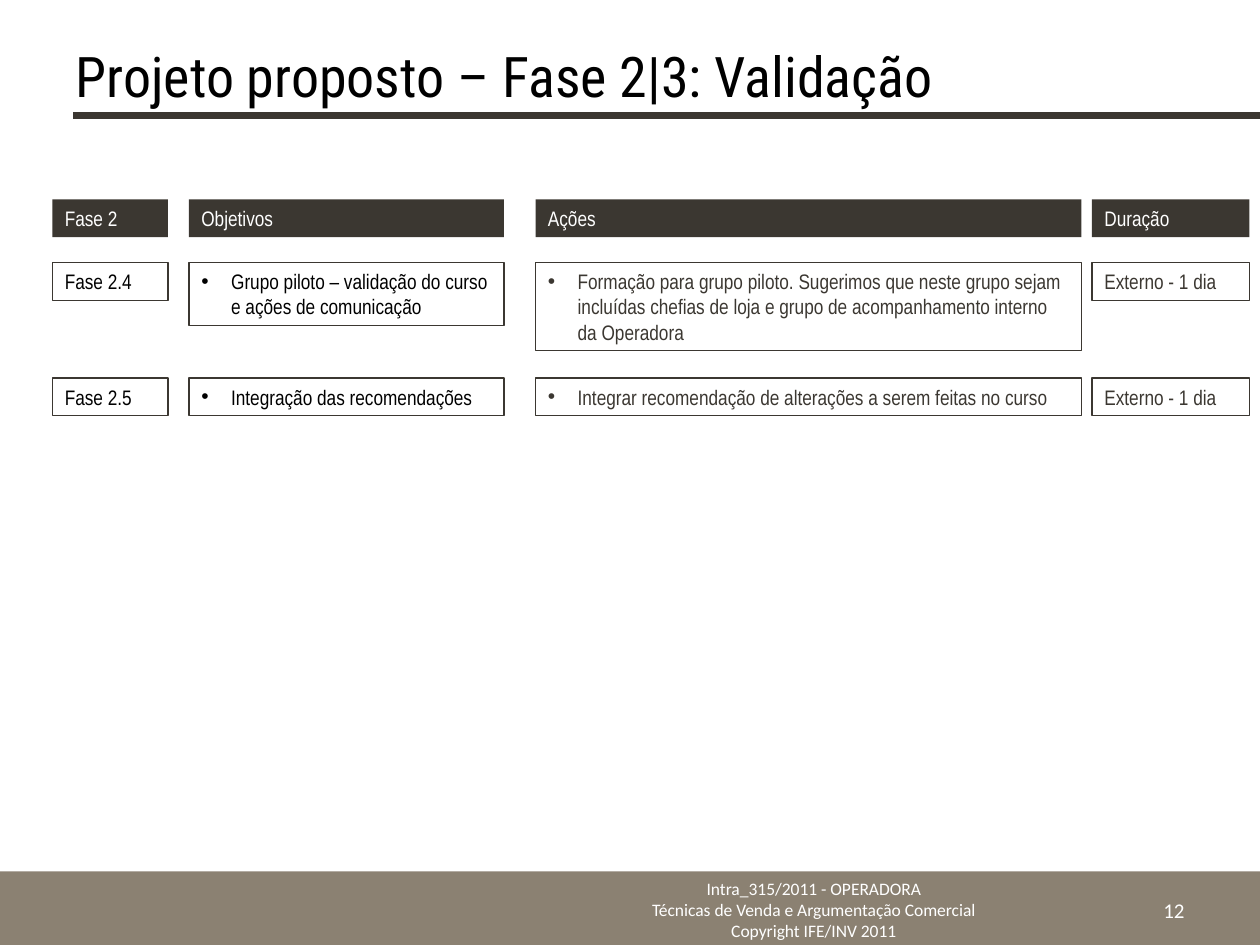
from dataclasses import dataclass

from lxml import etree
from pptx import Presentation
from pptx.dml.color import RGBColor
from pptx.enum.shapes import MSO_CONNECTOR, MSO_SHAPE
from pptx.enum.text import MSO_ANCHOR, MSO_AUTO_SIZE, PP_ALIGN
from pptx.oxml.ns import qn
from pptx.util import Pt

RECTANGLE = MSO_SHAPE.RECTANGLE
STRAIGHT = MSO_CONNECTOR.STRAIGHT
TOP, MIDDLE = MSO_ANCHOR.TOP, MSO_ANCHOR.MIDDLE
LEFT, CENTER, RIGHT = PP_ALIGN.LEFT, PP_ALIGN.CENTER, PP_ALIGN.RIGHT
NO_AUTOFIT = MSO_AUTO_SIZE.NONE
TITLE_ONLY = 5


@dataclass(frozen=True)
class Theme:
    dark: RGBColor = RGBColor(0x3B, 0x37, 0x31)
    band: RGBColor = RGBColor(0x8B, 0x81, 0x72)
    black: RGBColor = RGBColor(0, 0, 0)
    white: RGBColor = RGBColor(255, 255, 255)
    title_font: str = "Roboto Condensed"
    body_font: str = "Arial Narrow"
    footer_font: str = "Calibri"
    title_size: float = 32
    body_size: float = 12
    footer_size: float = 10


@dataclass(frozen=True)
class Column:
    heading: str
    left: float
    width: float
    color: RGBColor
    bulleted: bool = False


@dataclass(frozen=True)
class Cell:
    text: str
    lines: int = 1


@dataclass(frozen=True)
class Row:
    top: float
    cells: tuple[Cell, ...]


THEME = Theme()
LINE_HEIGHT = 14.4
VERTICAL_INSETS = 7.2
HEADING_TOP = 114
BULLET_INDENT = 17

COLUMNS = (
    Column("Fase 2", 30, 66, THEME.black),
    Column("Objetivos", 108, 180, THEME.black, True),
    Column("Ações", 306, 312, THEME.dark, True),
    Column("Duração", 624, 90, THEME.dark),
)
ROWS = (
    Row(150, (
        Cell("Fase 2.4"),
        Cell("Grupo piloto – validação do curso e ações de comunicação", 2),
        Cell("Formação para grupo piloto. Sugerimos que neste grupo sejam "
             "incluídas chefias de loja e grupo de acompanhamento interno "
             "da Operadora", 3),
        Cell("Externo - 1 dia"),
    )),
    Row(216, (
        Cell("Fase 2.5"),
        Cell("Integração das recomendações"),
        Cell("Integrar recomendação de alterações a serem feitas no curso"),
        Cell("Externo - 1 dia"),
    )),
)
FOOTER = (
    "Intra_315/2011 - OPERADORA\n"
    "Técnicas de Venda e Argumentação Comercial\n"
    "Copyright IFE/INV 2011"
)


def add_bullet(paragraph) -> None:
    properties = paragraph._p.get_or_add_pPr()
    properties.set("marL", str(Pt(BULLET_INDENT)))
    properties.set("indent", str(-Pt(BULLET_INDENT)))
    font = etree.SubElement(properties, qn("a:buFont"))
    font.set("typeface", "Arial")
    etree.SubElement(properties, qn("a:buChar")).set("char", "•")


def write_text(shape, text: str, *, font: str, size: float, color: RGBColor,
               align=LEFT, anchor=TOP, bulleted: bool = False) -> None:
    frame = shape.text_frame
    frame.text = text
    frame.word_wrap = True
    frame.auto_size = NO_AUTOFIT
    frame.vertical_anchor = anchor
    for paragraph in frame.paragraphs:
        paragraph.alignment = align
        if bulleted:
            add_bullet(paragraph)
        paragraph.font.name = font
        paragraph.font.size = Pt(size)
        paragraph.font.color.rgb = color


def add_box(slide, left: float, top: float, width: float, height: float,
            fill: RGBColor | None = None):
    shape = slide.shapes.add_shape(
        RECTANGLE, Pt(left), Pt(top), Pt(width), Pt(height))
    shape.shadow.inherit = False
    if fill is None:
        shape.fill.background()
        shape.line.color.rgb = THEME.dark
        shape.line.width = Pt(0.75)
    else:
        shape.fill.solid()
        shape.fill.fore_color.rgb = fill
        shape.line.fill.background()
    return shape


def add_cell(slide, column: Column, top: float, cell: Cell,
             heading: bool = False) -> None:
    height = VERTICAL_INSETS + LINE_HEIGHT * cell.lines
    box = add_box(slide, column.left, top, column.width, height,
                  THEME.dark if heading else None)
    write_text(box, cell.text, font=THEME.body_font, size=THEME.body_size,
               color=THEME.white if heading else column.color,
               bulleted=column.bulleted and not heading)


def add_title(slide) -> None:
    title = slide.shapes.title
    title.left, title.top = Pt(36), Pt(18)
    title.width, title.height = Pt(648), Pt(50.4)
    write_text(title, "Projeto proposto – Fase 2|3: Validação",
               font=THEME.title_font, size=THEME.title_size,
               color=THEME.black, anchor=MIDDLE)
    rule = slide.shapes.add_connector(
        STRAIGHT, Pt(42), Pt(66), Pt(720), Pt(66))
    rule.line.color.rgb = THEME.dark
    rule.line.width = Pt(3.75)
    etree.SubElement(rule._element.spPr, qn("a:effectLst"))


def add_footer(slide) -> None:
    add_box(slide, 0, 498, 720, 42, THEME.band)
    footer = slide.shapes.add_textbox(Pt(342), Pt(498), Pt(246), Pt(42))
    write_text(footer, FOOTER, font=THEME.footer_font,
               size=THEME.footer_size, color=THEME.white, align=CENTER)
    number = slide.shapes.add_textbox(Pt(516), Pt(505.5), Pt(168), Pt(28.8))
    write_text(number, "12", font=THEME.footer_font, size=THEME.body_size,
               color=THEME.white, align=RIGHT, anchor=MIDDLE)


def main() -> None:
    presentation = Presentation()
    presentation.slide_width = Pt(720)
    presentation.slide_height = Pt(540)
    slide = presentation.slides.add_slide(
        presentation.slide_layouts[TITLE_ONLY])
    add_footer(slide)
    add_title(slide)
    for column in COLUMNS:
        add_cell(slide, column, HEADING_TOP, Cell(column.heading), True)
    for row in ROWS:
        for column, cell in zip(COLUMNS, row.cells):
            add_cell(slide, column, row.top, cell)
    presentation.save("out.pptx")


if __name__ == "__main__":
    main()
